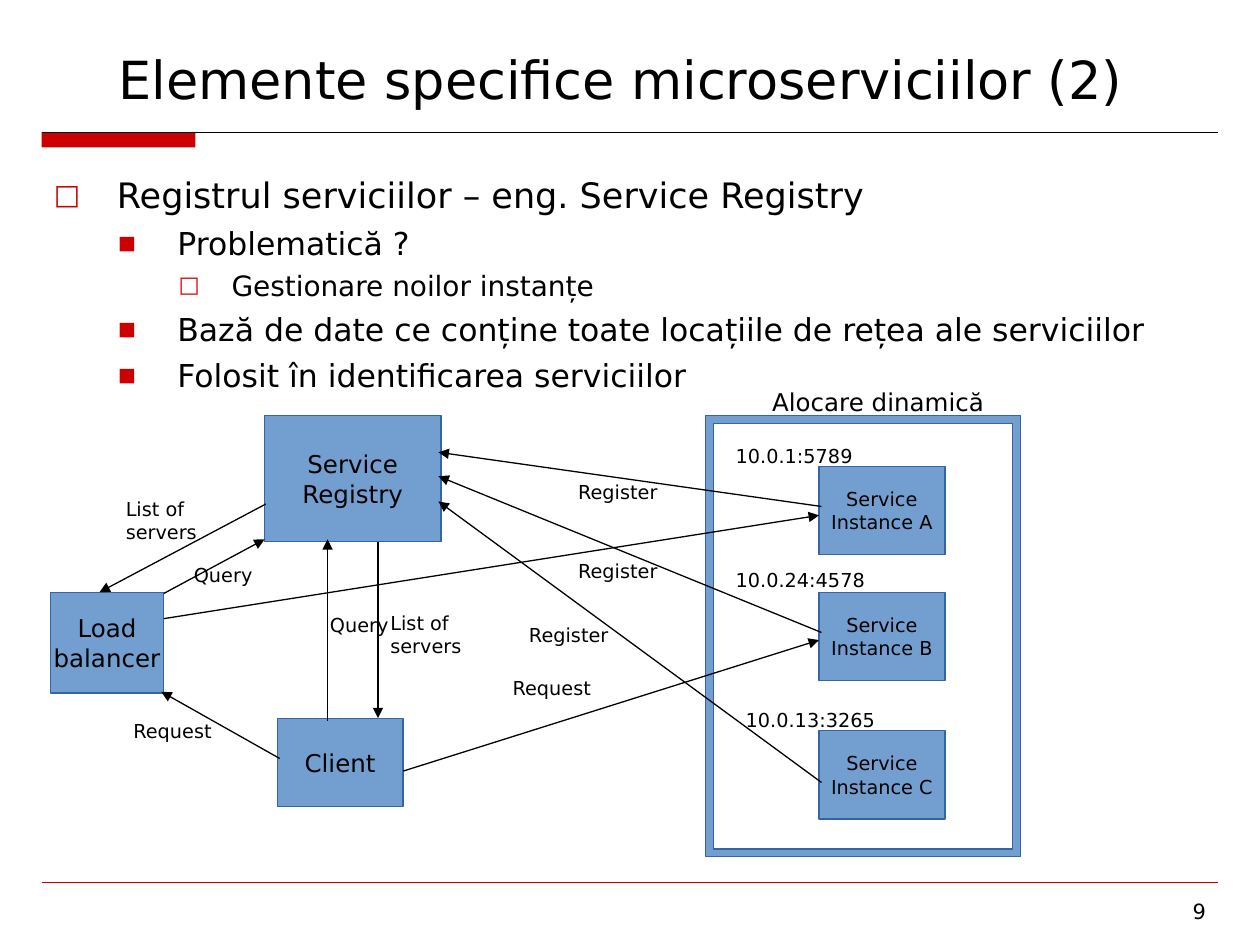
from lxml import etree
from pptx import Presentation
from pptx.dml.color import RGBColor
from pptx.enum.shapes import MSO_CONNECTOR, MSO_SHAPE
from pptx.enum.text import MSO_ANCHOR, MSO_AUTO_SIZE, PP_ALIGN
from pptx.oxml.ns import qn
from pptx.util import Inches, Pt

STRAIGHT = MSO_CONNECTOR.STRAIGHT
RECTANGLE, FRAME = MSO_SHAPE.RECTANGLE, MSO_SHAPE.FRAME
MIDDLE, BOTTOM, TOP = MSO_ANCHOR.MIDDLE, MSO_ANCHOR.BOTTOM, MSO_ANCHOR.TOP
LEFT, CENTER, RIGHT = PP_ALIGN.LEFT, PP_ALIGN.CENTER, PP_ALIGN.RIGHT
NO_FIT = MSO_AUTO_SIZE.NONE
COLUMNS, ROWS = 100, 75
TITLE_ONLY = 5


def color(value):
    return RGBColor.from_string(value)


def add_xml(parent, tag, **attributes):
    return etree.SubElement(parent, qn(tag), attributes)


class SlideBuilder:
    font = "DejaVu Sans"
    ink, red = "000000", "CC0000"
    box_fill, box_line = "729FCF", "3465A4"
    bullets = [
        ("□", 20, 5, 0.5, 0.5, 80),
        ("■", 18, 4.5, 0.98, 0.47, 60),
        ("□", 16, 4, 1.41, 0.42, 80),
    ]

    def __init__(self, deck):
        self.column = deck.slide_width / COLUMNS
        self.row = deck.slide_height / ROWS
        self.page = deck.slides.add_slide(deck.slide_layouts[TITLE_ONLY])

    def place(self, left, top, width, height):
        return (round(left * self.column), round(top * self.row),
                round(width * self.column), round(height * self.row))

    def set_text(self, shape, lines, size, align=LEFT, anchor=TOP, wrap=False):
        frame = shape.text_frame
        frame.text = "\n".join(lines)
        frame.word_wrap = wrap
        frame.auto_size = NO_FIT
        frame.vertical_anchor = anchor
        for para in frame.paragraphs:
            para.alignment = align
            para.font.name = self.font
            para.font.size = Pt(size)
            para.font.color.rgb = color(self.ink)
        return frame

    def title(self, text, *area):
        shape = self.page.shapes.title
        shape.left, shape.top, shape.width, shape.height = self.place(*area)
        self.set_text(shape, [text], 30, CENTER, BOTTOM, True)

    def label(self, lines, *area, size=11, align=LEFT):
        shape = self.page.shapes.add_textbox(*self.place(*area))
        self.set_text(shape, lines, size, align)

    def outline(self, items, *area):
        shape = self.page.shapes.add_textbox(*self.place(*area))
        frame = self.set_text(shape, [text for _, text in items], 18, wrap=True)
        for para, (level, _) in zip(frame.paragraphs, items):
            mark, size, before, margin, hanging, percent = self.bullets[level]
            para.level = level
            para.font.size = Pt(size)
            para.space_before = Pt(before)
            props = para._p.get_or_add_pPr()
            props.set("marL", str(Inches(margin)))
            props.set("indent", str(-Inches(hanging)))
            for leftover in props.findall(qn("a:defRPr")):
                props.remove(leftover)
            add_xml(add_xml(props, "a:buClr"), "a:srgbClr", val=self.red)
            add_xml(props, "a:buSzPct", val=str(percent * 1000))
            add_xml(props, "a:buFont", typeface=self.font)
            add_xml(props, "a:buChar", char=mark)
            for span in para.runs:
                span.font.name = self.font
                span.font.size = Pt(size)
                span.font.color.rgb = color(self.ink)

    def block(self, *area, kind=RECTANGLE, fill=box_fill, line=box_line):
        shape = self.page.shapes.add_shape(kind, *self.place(*area))
        shape.shadow.inherit = False
        shape.fill.solid()
        shape.fill.fore_color.rgb = color(fill)
        if line:
            shape.line.color.rgb = color(line)
            shape.line.width = Pt(0.75)
        else:
            shape.line.fill.background()
        return shape

    def node(self, lines, *area, size=14):
        self.set_text(self.block(*area), lines, size, CENTER, MIDDLE)

    def line(self, start, end, stroke=ink, width=0.75, arrow=False):
        ends = self.place(*start, *end)
        connector = self.page.shapes.add_connector(STRAIGHT, *ends)
        connector.line.color.rgb = color(stroke)
        connector.line.width = Pt(width)
        if arrow:
            outline = connector._element.spPr.find(qn("a:ln"))
            add_xml(outline, "a:tailEnd", type="triangle")
        add_xml(connector._element.spPr, "a:effectLst")


def main():
    deck = Presentation()
    deck.slide_width, deck.slide_height = Inches(10), Inches(7.5)
    slide = SlideBuilder(deck)

    slide.block(3.3, 10.5, 12.2, 1.2, fill=slide.red, line=None)
    slide.line((3.3, 10.5), (96.7, 10.5), width=0.5)
    slide.line((3.3, 70), (96.7, 70), slide.red, 0.25)
    slide.label(["9"], 91.7, 70.8, 5, 3.3, size=12, align=RIGHT)
    slide.title("Elemente specifice microserviciilor (2) ", 3.3, 2.5, 93.3, 6.7)
    slide.outline([
        (0, "Registrul serviciilor – eng. Service Registry"),
        (1, "Problematică ?"),
        (2, "Gestionare noilor instanțe"),
        (1, "Bază de date ce conține toate locațiile de rețea ale serviciilor"),
        (1, "Folosit în identificarea serviciilor"),
    ], 3.3, 13.3, 93.3, 55.8)

    slide.node(["Service", "Registry"], 21, 33, 14, 10)
    slide.node(["Client"], 22, 57, 10, 7)
    slide.node(["Load", "balancer"], 4, 47, 9, 8)
    for name, top in (("A", 37), ("B", 47), ("C", 58)):
        slide.node(["Service", f"Instance {name}"], 65, top, 10, 7, size=11)

    allocation = slide.block(56, 33, 25, 35, kind=FRAME)
    allocation.adjustments[0] = 0.025
    slide.label(["Alocare dinamică"], 60.3, 30.2, 18.7, 3.3, size=14)

    arrows = [
        ((65.2, 40.2), (34.8, 35.9)),
        ((65.2, 50.2), (34.8, 37.8)),
        ((65.2, 62.1), (34.8, 39.8)),
        ((26, 57.2), (26, 42.8)),
        ((32, 61.2), (65, 50.8)),
        ((22.2, 60.2), (12.8, 54.9)),
        ((13, 47.1), (21, 42.8)),
        ((13, 49.1), (65, 40.9)),
        ((30, 43), (30, 57)),
        ((21.1, 40), (7.9, 47)),
    ]
    for start, end in arrows:
        slide.line(start, end, arrow=True)

    labels = [
        ("10.0.1:5789", 57.4, 34.8, 11.3),
        ("10.0.24:4578", 57.4, 44.6, 12.3),
        ("10.0.13:3265", 58.2, 55.7, 12.3),
        ("Register", 44.9, 37.6, 8.3),
        ("Register", 44.9, 43.9, 8.3),
        ("Register", 41, 49, 8.3),
        ("Request", 39.7, 53.2, 8.3),
        ("Request", 9.6, 56.6, 8.2),
        ("Query", 25.2, 48.2, 6.6),
        ("Query", 14.4, 44.2, 6.6),
        ("List of\nservers", 30, 48, 7.6),
        ("List of\nservers", 9, 39, 7.6),
    ]
    for text, left, top, width in labels:
        lines = text.split("\n")
        slide.label(lines, left, top, width, 0.9 + 1.9 * len(lines))

    deck.save("out.pptx")


if __name__ == "__main__":
    main()
